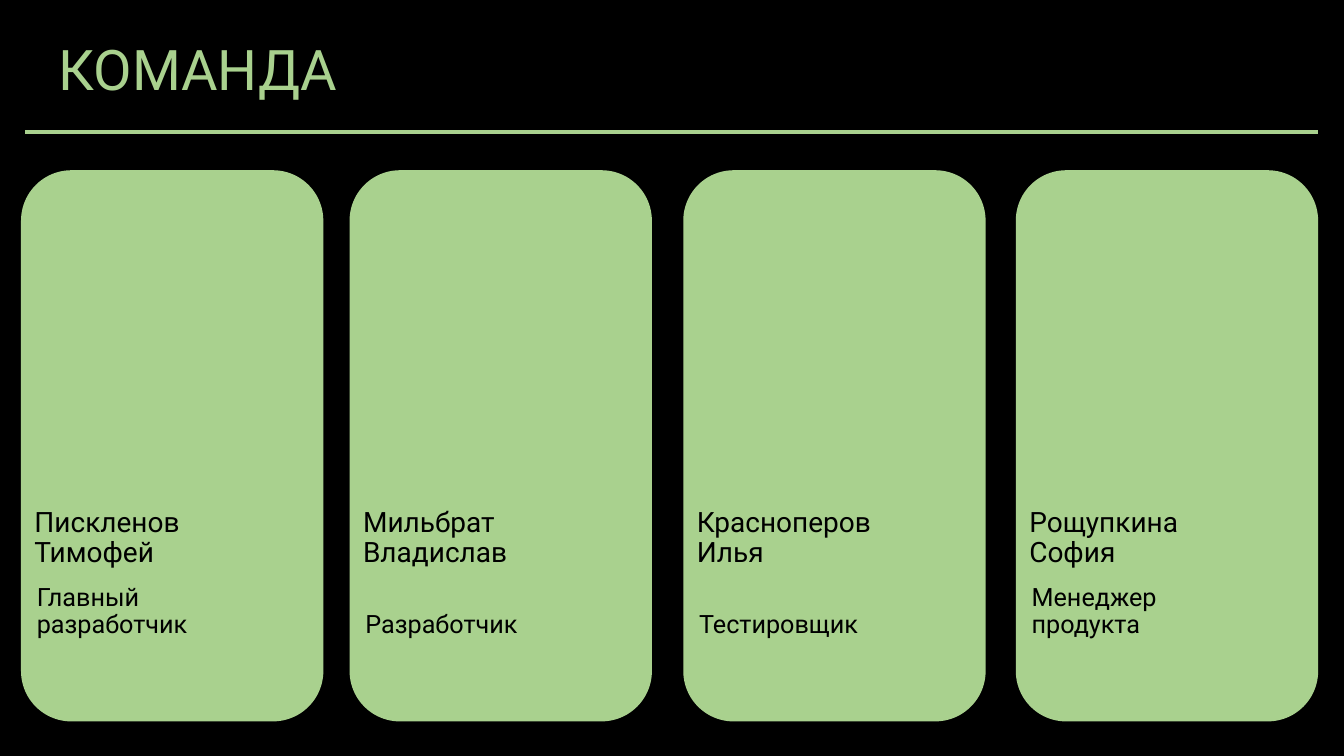
from lxml import etree
from pptx import Presentation
from pptx.dml.color import RGBColor
from pptx.enum.shapes import MSO_CONNECTOR, MSO_SHAPE
from pptx.enum.text import MSO_ANCHOR, PP_ALIGN
from pptx.oxml.ns import qn
from pptx.util import Cm, Pt

# Content: card left edge (cm), name lines, role lines
TITLE = "КОМАНДА"
TEAM = [
    (0.53, ["Пискленов", "Тимофей"], ["Главный", "разработчик"]),
    (8.81, ["Мильбрат", "Владислав"], ["Разработчик"]),
    (17.22, ["Красноперов", "Илья"], ["Тестировщик"]),
    (25.6, ["Рощупкина", "София"], ["Менеджер", "продукта"]),
]

# Style
FONT = "Roboto"
BLACK = RGBColor(0x00, 0x00, 0x00)
GREEN = RGBColor(0xA9, 0xD1, 0x8E)
ROUND_RECT = MSO_SHAPE.ROUNDED_RECTANGLE
STRAIGHT = MSO_CONNECTOR.STRAIGHT
BOTTOM = MSO_ANCHOR.BOTTOM
LEFT = PP_ALIGN.LEFT

# Layout in cm
CARD_TOP, CARD_W, CARD_H = 4.29, 7.62, 13.89
NAME_DX, NAME_TOP, NAME_W, NAME_H = 0.09, 11.53, 5.36, 2.92
ROLE_DX, ROLE_BOTTOM, ROLE_W = 0.15, 16.23, 5.31
ROLE_LINE_H, ROLE_PAD = 0.94, 0.13


def write_lines(sp, lines, size, color):
    tf = sp.text_frame
    tf.word_wrap = True
    tf.vertical_anchor = BOTTOM
    for i, line in enumerate(lines):
        p = tf.paragraphs[0] if i == 0 else tf.add_paragraph()
        p.alignment = LEFT
        p.line_spacing = 0.9
        p.space_before = Pt(0)
        r = p.add_run()
        r.text = line
        r.font.name = FONT
        r.font.size = Pt(size)
        r.font.color.rgb = color


def add_text(s, x, y, w, h, lines, size):
    sp = s.shapes.add_textbox(Cm(x), Cm(y), Cm(w), Cm(h))
    write_lines(sp, lines, size, BLACK)


def add_card(s, x, name, role):
    card = s.shapes.add_shape(ROUND_RECT, Cm(x), Cm(CARD_TOP), Cm(CARD_W), Cm(CARD_H))
    card.shadow.inherit = False
    card.fill.solid()
    card.fill.fore_color.rgb = GREEN
    card.line.fill.background()

    add_text(s, x + NAME_DX, NAME_TOP, NAME_W, NAME_H, name, 20)

    # Role boxes share a bottom edge and grow upwards
    role_h = ROLE_PAD + ROLE_LINE_H * len(role)
    add_text(s, x + ROLE_DX, ROLE_BOTTOM - role_h, ROLE_W, role_h, role, 18)


def main():
    prs = Presentation()
    prs.slide_width, prs.slide_height = Cm(33.87), Cm(19.05)
    s = prs.slides.add_slide(prs.slide_layouts[5])
    s.background.fill.solid()
    s.background.fill.fore_color.rgb = BLACK

    # Title
    title = s.shapes.title
    title.left, title.top = Cm(1.22), Cm(0.46)
    title.width, title.height = Cm(12.78), Cm(2.26)
    write_lines(title, [TITLE], 40, GREEN)

    # Rule under the title
    rule = s.shapes.add_connector(STRAIGHT, Cm(0.64), Cm(3.33), Cm(33.22), Cm(3.33))
    rule.line.color.rgb = GREEN
    rule.line.width = Pt(3)
    etree.SubElement(rule._element.spPr, qn("a:effectLst"))

    # Team cards
    for x, name, role in TEAM:
        add_card(s, x, name, role)

    prs.save("out.pptx")


if __name__ == "__main__":
    main()
